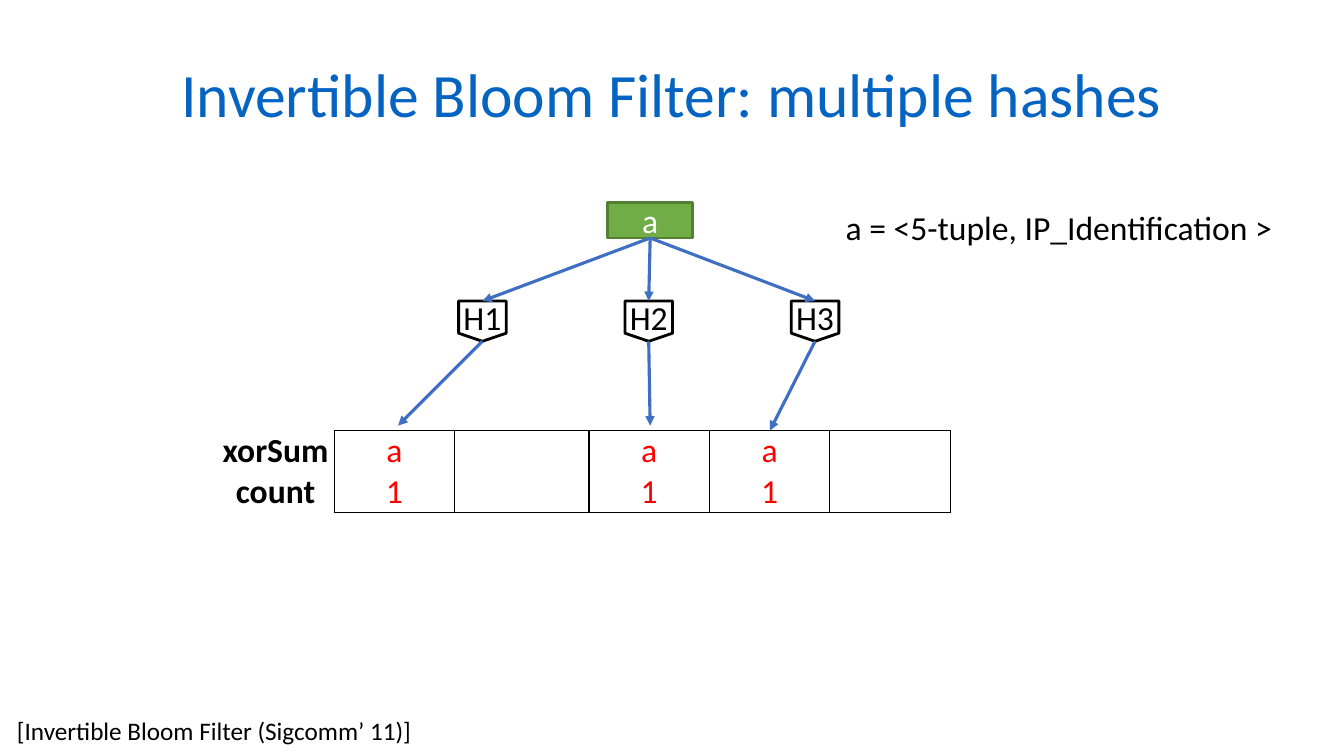
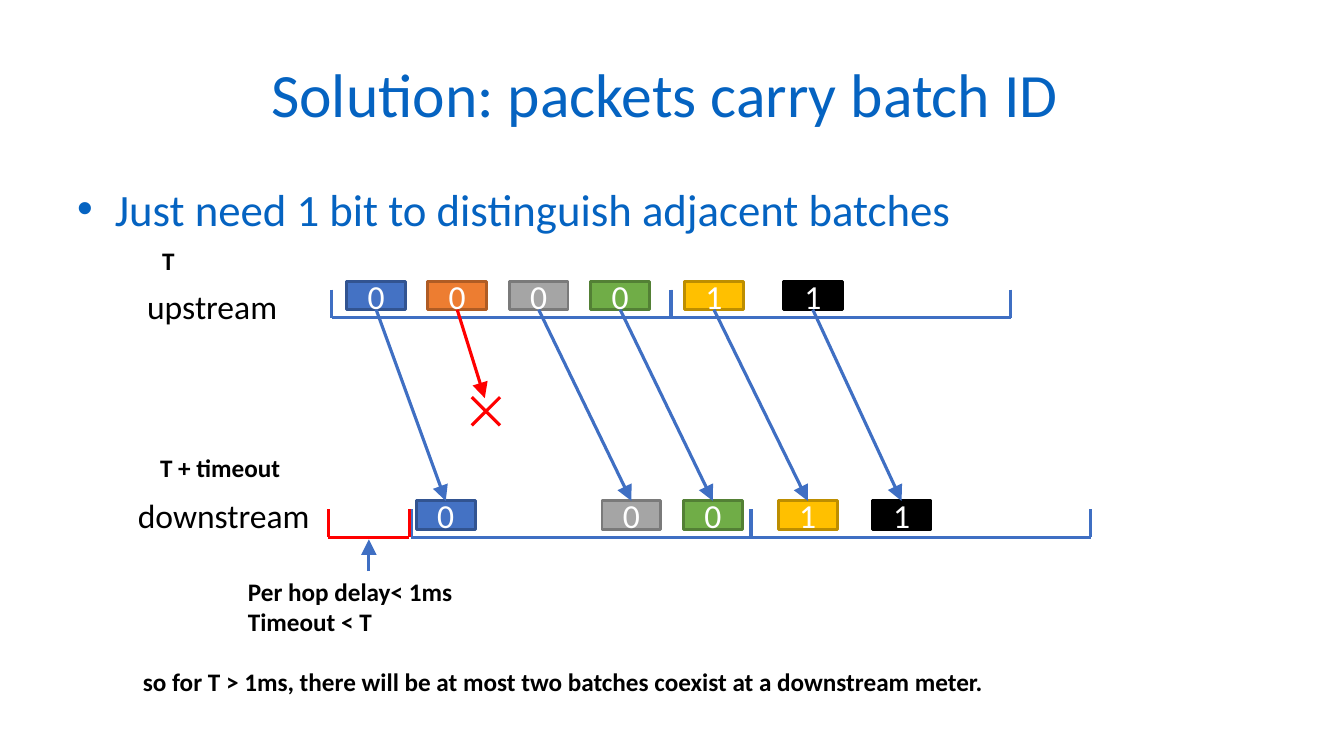
"""Build two slides on invertible Bloom filters and packet batch IDs."""
from lxml import etree
from pptx import Presentation
from pptx.dml.color import RGBColor
from pptx.enum.shapes import MSO_CONNECTOR, MSO_SHAPE
from pptx.enum.text import MSO_ANCHOR, PP_ALIGN
from pptx.oxml.ns import qn
from pptx.util import Pt

STRAIGHT = MSO_CONNECTOR.STRAIGHT
RECTANGLE = MSO_SHAPE.RECTANGLE
HASH_SHAPE = MSO_SHAPE.FLOWCHART_OFFPAGE_CONNECTOR
MIDDLE = MSO_ANCHOR.MIDDLE
CENTER = PP_ALIGN.CENTER

FONT = "Calibri"
TITLE_BLUE = RGBColor(0x05, 0x63, 0xC1)
LINE_BLUE = RGBColor(0x3F, 0x6F, 0xC3)
RED = RGBColor(0xFF, 0x00, 0x00)
BLACK = RGBColor(0x00, 0x00, 0x00)
WHITE = RGBColor(0xFF, 0xFF, 0xFF)
BLUE = RGBColor(0x44, 0x72, 0xC4)
BLUE_EDGE = RGBColor(0x32, 0x54, 0x91)
ORANGE = RGBColor(0xED, 0x7D, 0x31)
ORANGE_EDGE = RGBColor(0xAF, 0x5C, 0x24)
GRAY = RGBColor(0xA5, 0xA5, 0xA5)
GRAY_EDGE = RGBColor(0x7A, 0x7A, 0x7A)
GREEN = RGBColor(0x70, 0xAD, 0x47)
GREEN_EDGE = RGBColor(0x53, 0x80, 0x35)
GOLD = RGBColor(0xFF, 0xC0, 0x00)
GOLD_EDGE = RGBColor(0xBD, 0x8E, 0x00)


def add_box(page, place, text, size=24, color=BLACK, bold=False, fill=None, edge=None, kind=RECTANGLE):
    """Add a filled shape with centred text, or a plain text box if no fill is given."""
    place = [Pt(length) for length in place]
    if fill is None:
        box = page.shapes.add_textbox(*place)
    else:
        box = page.shapes.add_shape(kind, *place)
        box.shadow.inherit = False
        box.fill.solid()
        box.fill.fore_color.rgb = fill
        box.line.color.rgb = edge
        box.line.width = Pt(2)
        box.text_frame.vertical_anchor = MIDDLE
    frame = box.text_frame
    frame.word_wrap = True
    frame.text = text
    for para in frame.paragraphs:
        if fill is not None:
            para.alignment = CENTER
        for span in para.runs:
            span.font.name = FONT
            span.font.size = Pt(size)
            span.font.bold = bold
            span.font.color.rgb = color
    return box


def add_line(page, start, end, color=LINE_BLUE, head=None):
    """Draw a line between points, or from a shape's bottom to a shape's top."""
    first = start if isinstance(start, tuple) else (0, 0)
    last = end if isinstance(end, tuple) else (0, 0)
    line = page.shapes.add_connector(STRAIGHT, *[Pt(length) for length in first + last])
    if start is not first:
        line.begin_connect(start, 2)
    if end is not last:
        line.end_connect(end, 0)
    line.line.color.rgb = color
    line.line.width = Pt(2.25)
    properties = line.element.spPr
    if head:
        etree.SubElement(properties.find(qn("a:ln")), qn("a:tailEnd"), type="triangle", w=head, len=head)
    etree.SubElement(properties, qn("a:effectLst"))


deck = Presentation()
deck.slide_width, deck.slide_height = Pt(960), Pt(540)

pages = []
for heading in ("Invertible Bloom Filter: multiple hashes", "Solution: packets carry batch ID "):
    page = deck.slides.add_slide(deck.slide_layouts[5])
    title = page.shapes.title
    title.left, title.top, title.width, title.height = Pt(48), Pt(21.6), Pt(864), Pt(90)
    title.text_frame.text = heading
    title.text_frame.vertical_anchor = MIDDLE
    para = title.text_frame.paragraphs[0]
    para.alignment = CENTER
    font = para.runs[0].font
    font.name, font.size, font.color.rgb = FONT, Pt(44), TITLE_BLUE
    pages.append(page)
filter_page, batch_page = pages

column_widths = [84, 86, 96, 86, 86, 86]
cell_texts = ["xorSum\ncount", "a\n1", "", "a\n1", "a\n1", ""]
frame = filter_page.shapes.add_table(1, 6, Pt(154.8), Pt(307.5), Pt(sum(column_widths)), Pt(58))
table = frame.table
table.first_row = table.horz_banding = False
for index, (width, text) in enumerate(zip(column_widths, cell_texts)):
    table.columns[index].width = Pt(width)
    cell = table.cell(0, index)
    cell.margin_left = cell.margin_right = cell.margin_top = cell.margin_bottom = 0
    for side in "LRTB" if index else "R":
        border = etree.SubElement(cell._tc.get_or_add_tcPr(), qn("a:ln" + side), w=str(Pt(1)))
        paint = etree.SubElement(border, qn("a:solidFill"))
        etree.SubElement(paint, qn("a:srgbClr"), val=str(BLACK))
    cell.fill.background()
    cell.text_frame.text = text
    for para in cell.text_frame.paragraphs:
        para.alignment = CENTER
        for span in para.runs:
            span.font.name, span.font.size = FONT, Pt(24)
            span.font.bold = index == 0
            span.font.color.rgb = RED if index else BLACK

item = add_box(filter_page, (434.2, 144.8, 60.4, 25.2), "a", color=WHITE, fill=GREEN, edge=GREEN_EDGE)
for index, target in enumerate([(284.4, 304), (464.4, 304), (550, 307.5)]):
    hash_box = add_box(filter_page, (327.6 + 118.8 * index, 215, 34, 28.8), f"H{index + 1}",
                       fill=WHITE, edge=BLACK, kind=HASH_SHAPE)
    inner = hash_box.text_frame
    inner.margin_left = inner.margin_right = inner.margin_top = inner.margin_bottom = 0
    add_line(filter_page, item, hash_box, head="med")
    add_line(filter_page, hash_box, target, head="med")
add_box(filter_page, (5, 507.6, 300, 29), "[Invertible Bloom Filter (Sigcomm’ 11)]", 18)
add_box(filter_page, (597, 144, 323, 36), "a = <5-tuple, IP_Identification >")

bullet_box = add_box(batch_page, (48, 126, 864, 46), "Just need 1 bit to distinguish adjacent batches", 32, TITLE_BLUE)
bullet = bullet_box.text_frame.paragraphs[0]._p.get_or_add_pPr()
bullet.set("marL", str(Pt(27)))
bullet.set("indent", str(-Pt(27)))
etree.SubElement(bullet, qn("a:buFont"), typeface="Arial")
etree.SubElement(bullet, qn("a:buChar"), char="•")

for left, right, base, color in [
    (237, 479.5, 226.8, LINE_BLUE),
    (479, 722, 226.8, LINE_BLUE),
    (293.6, 536.4, 383.8, LINE_BLUE),
    (536.4, 779, 383.8, LINE_BLUE),
    (234.5, 292.3, 383.8, RED),
]:
    add_line(batch_page, (left, base), (right, base), color)
    for tick in (left, right):
        add_line(batch_page, (tick, base - 20), (tick, base), color)

cross_left, cross_top, cross_size = 337, 283.7, 20.2
cross_right, cross_bottom = cross_left + cross_size, cross_top + cross_size
add_line(batch_page, (cross_right, cross_top), (cross_left, cross_bottom), RED)
add_line(batch_page, (cross_left, cross_top), (cross_right, cross_bottom), RED)

for sent, received, bit, fill, edge in [
    (247.7, 297.4, "0", BLUE, BLUE_EDGE),
    (305.6, None, "0", ORANGE, ORANGE_EDGE),
    (363.8, 430, "0", GRAY, GRAY_EDGE),
    (422, 488.2, "0", GREEN, GREEN_EDGE),
    (489, 556, "1", GOLD, GOLD_EDGE),
    (559.6, 623, "1", BLACK, BLACK),
]:
    packet = add_box(batch_page, (sent, 201, 42, 20.2), bit, color=WHITE, fill=fill, edge=edge)
    if received is None:
        add_line(batch_page, packet, (346.3, 284.4), RED, "lg")
    else:
        arrival = add_box(batch_page, (received, 357.8, 42, 20.2), bit, color=WHITE, fill=fill, edge=edge)
        add_line(batch_page, packet, arrival, head="lg")

add_line(batch_page, (263.5, 408), (263.5, 385.2), head="lg")
for place, text, size, bold in [
    ((98, 201, 109, 36), "upstream", 24, False),
    ((91.4, 350, 138, 36), "downstream", 24, False),
    ((107.3, 319.7, 116, 29), "T + timeout", 18, True),
    ((108.7, 172, 27.4, 29), "T", 18, True),
    ((170, 408.2, 188, 51), "Per hop delay< 1ms\nTimeout < T", 18, True),
    ((95, 472.3, 738, 29), "so for T > 1ms, there will be at most two batches coexist at a downstream meter.", 18, True),
]:
    add_box(batch_page, place, text, size, bold=bold)

deck.save("out.pptx")
